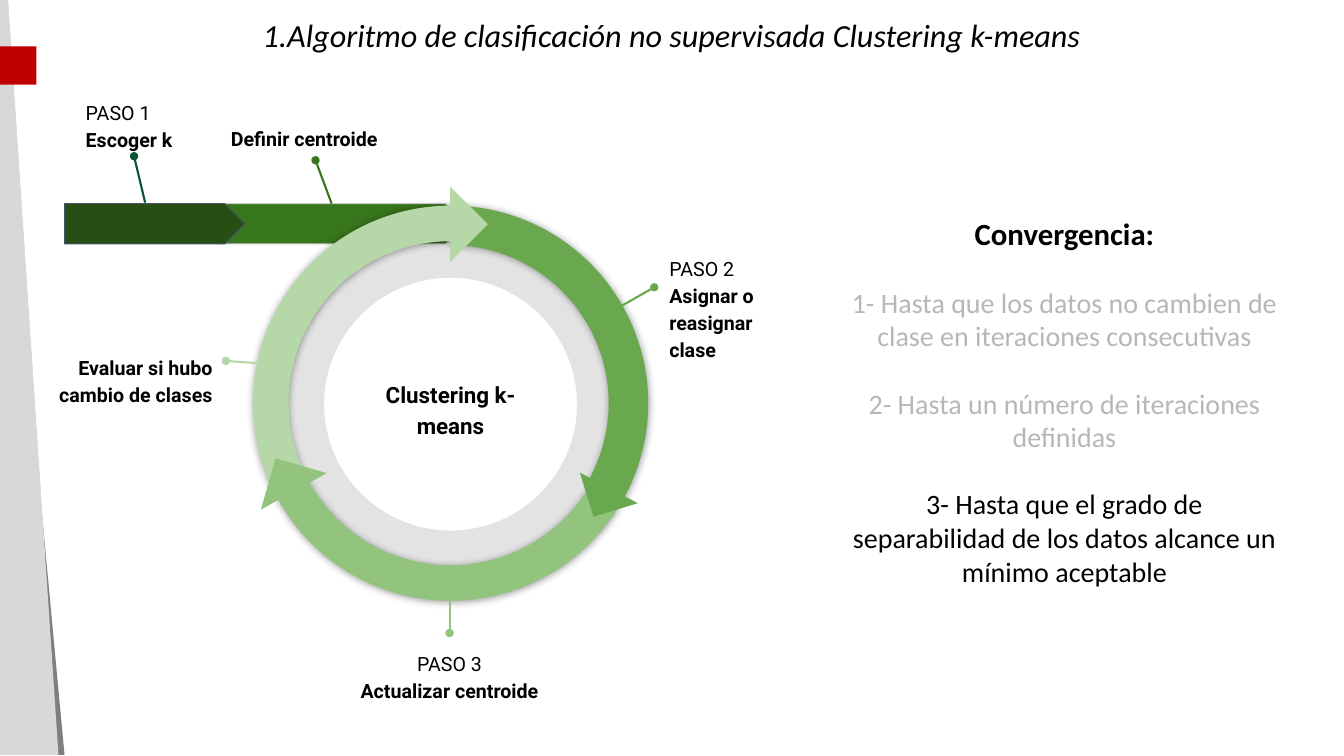
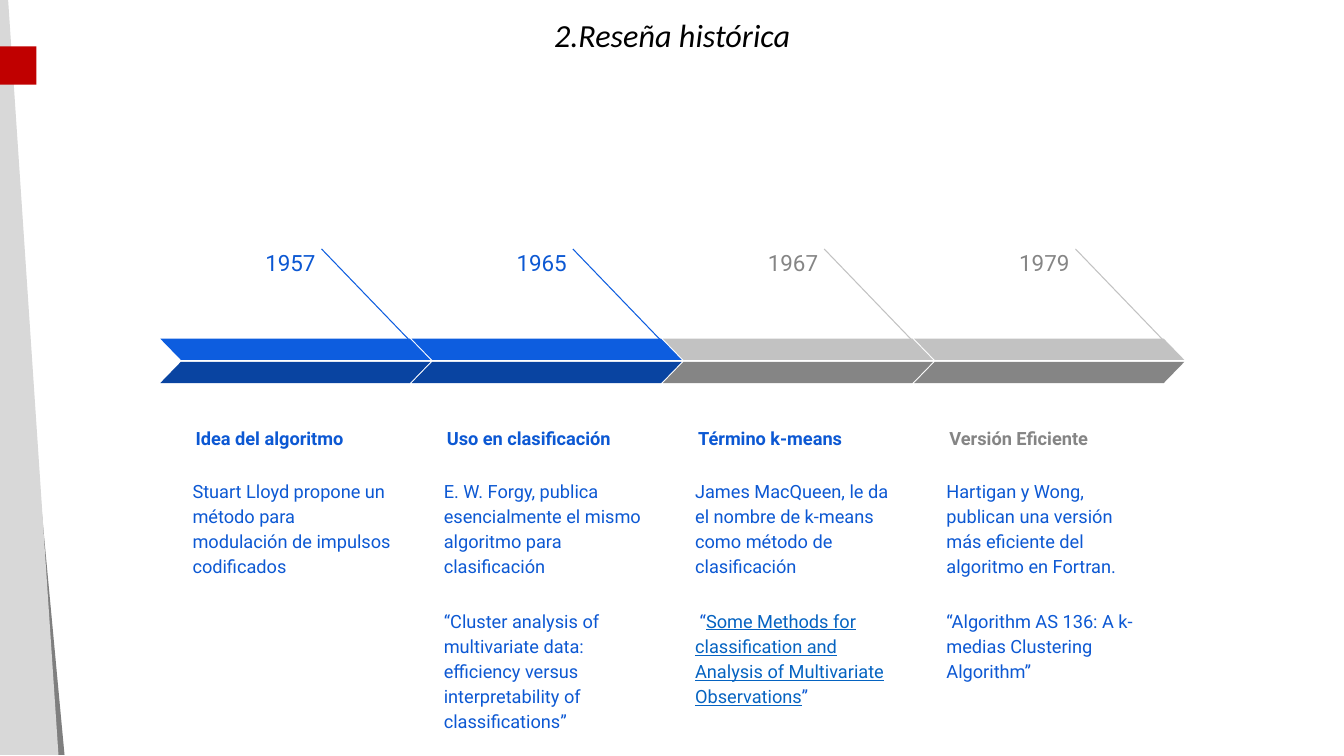
from lxml import etree
from pptx import Presentation
from pptx import util as u
from pptx.dml.color import RGBColor
from pptx.enum import shapes, text
from pptx.oxml.ns import qn

COLS, ROWS = 133.33, 75
BLACK, MUTED, RED = "000000", "B7B7B7", "C00000"
BLUE, NAVY, INK = "0D5DDF", "0944A1", "0C58D3"
SILVER, GREY, LINK = "C2C2C2", "858585", "0563C1"
PINE, FOREST, GREEN, LEAF, MINT = "274E13", "38761D", "6AA84F", "93C47D", "B6D7A8"
LEFT, CENTER, RIGHT = text.PP_ALIGN.LEFT, text.PP_ALIGN.CENTER, text.PP_ALIGN.RIGHT
TOP, MIDDLE, BOTTOM = text.MSO_ANCHOR.TOP, text.MSO_ANCHOR.MIDDLE, text.MSO_ANCHOR.BOTTOM
MS = shapes.MSO_SHAPE
BOLD = {"bold": True}


def g(n):
    """Turn grid cells, ten to the inch, into a length."""
    return u.Inches(n / 10)


def rgb(code):
    """Turn a hex string into a colour."""
    return RGBColor.from_string(code)


def add_xml(parent, tag, **attrs):
    """Append a DrawingML child with the given attributes."""
    return etree.SubElement(parent, qn("a:" + tag), {k: str(v) for k, v in attrs.items()})


def paint(sp, fill, line=None, alpha=None):
    """Give a shape a flat fill and an optional thin outline."""
    sp.fill.solid()
    sp.fill.fore_color.rgb = rgb(fill)
    if alpha:
        add_xml(sp._element.spPr.find(".//" + qn("a:srgbClr")), "alpha", val=alpha * 1000)
    if line:
        sp.line.color.rgb = rgb(line)
        sp.line.width = u.Pt(0.75)
    else:
        sp.line.fill.background()
    sp.shadow.inherit = False


def add_shape(s, kind, box, fill, adj=(), rot=0, flip=False, line=None, alpha=None):
    """Add a preset shape, adjusted, turned and mirrored as asked."""
    sp = s.shapes.add_shape(kind, *map(g, box))
    for i, value in enumerate(adj):
        sp.adjustments[i] = value
    sp.rotation = rot
    if flip:
        sp._element.spPr.get_or_add_xfrm().set("flipH", "1")
    paint(sp, fill, line, alpha)
    return sp


def add_polygon(s, points, fill):
    """Add a closed outline through grid points."""
    pts = [(g(x), g(y)) for x, y in points]
    fb = s.shapes.build_freeform(*pts[0])
    fb.add_line_segments(pts[1:], close=True)
    paint(fb.convert_to_shape(), fill)


def add_line(s, start, end, color, width=0.75, dot=False):
    """Add a straight line, with a dot at its start if asked."""
    c = s.shapes.add_connector(shapes.MSO_CONNECTOR.STRAIGHT, *map(g, start + end))
    c.line.color.rgb = rgb(color)
    c.line.width = u.Pt(width)
    if dot:
        add_xml(c.line._ln, "headEnd", type="oval")
    add_xml(c._element.spPr, "effectLst")


def add_text(s, box, paras, size=14, color=BLACK, font="Roboto", align=LEFT,
             anchor=TOP, inset=1.3, spacing=1.15, gap=0):
    """Add a text box whose paragraphs are lists of (text, font settings) runs."""
    tf = s.shapes.add_textbox(*map(g, box)).text_frame
    tf.word_wrap = True
    tf.vertical_anchor = anchor
    tf.margin_left = tf.margin_right = tf.margin_top = tf.margin_bottom = g(inset)
    for i, runs in enumerate(paras):
        p = tf.paragraphs[0] if i == 0 else tf.add_paragraph()
        p.alignment, p.line_spacing = align, spacing
        if i and gap:
            p.space_before = u.Pt(gap)
        for words, style in runs:
            r = p.add_run()
            r.text = words
            r.font.name = font
            r.font.size = u.Pt(style.get("size", size))
            r.font.color.rgb = rgb(style.get("color", color))
            for name in ("bold", "italic", "underline"):
                if name in style:
                    setattr(r.font, name, style[name])


def add_frame(prs, title):
    """Add a slide with the shared title and side band."""
    s = prs.slides.add_slide(prs.slide_layouts[6])
    add_text(s, (9.2, -0.2, 115, 7.8), [[(title, {"italic": True})]], 23,
             font="Calibri", align=CENTER, anchor=MIDDLE, inset=0.5, spacing=0.9)
    add_polygon(s, [(-1.1, -0.1), (-0.6, 0.1), (6.4, 74.9), (-1.1, 74.9)], "7F7F7F")
    add_polygon(s, [(-1.7, -0.1), (0.8, -0.1), (5.8, 74.9), (-1.7, 74.9)], "D8D8D8")
    add_shape(s, MS.RECTANGLE, (-3.3, 4.6, 6.9, 3.8), RED)
    return s


def add_arc(s, fill, rot, adj, flip=False):
    """Add one shaded third of the cycle ring."""
    sp = add_shape(s, MS.BLOCK_ARC, (25.1, 20.4, 39.2, 39.2), fill, adj, rot, flip)
    shadow = add_xml(sp._element.spPr.find(qn("a:effectLst")), "outerShdw",
                     blurRad=u.Pt(5.6), dist=u.Pt(0.8), dir=90 * 60000, rotWithShape=0)
    add_xml(add_xml(shadow, "srgbClr", val=BLACK), "alpha", val=40000)


def add_tip(s, x, y, side, rot, fill):
    """Add the arrow tip of a ring third."""
    add_shape(s, MS.RIGHT_TRIANGLE, (x, y, side, side), fill, rot=rot)


def add_step(s, start, end, color, box, label, step=None, align=LEFT):
    """Add a dotted leader and the step label it belongs to."""
    add_line(s, start, end, color, 1.5, dot=True)
    paras = [[(step, {})]] if step else []
    add_text(s, box, paras + [[(label, BOLD)]], align=align)


def cycle_slide(prs):
    """Build the clustering cycle and its convergence criteria."""
    s = add_frame(prs, "1.Algoritmo de clasificación no supervisada Clustering k-means")
    add_shape(s, MS.PENTAGON, (21.6, 20.2, 24.6, 4), FOREST, [0.5], line="CCCCCC")
    add_shape(s, MS.DONUT, (26.2, 21.6, 37, 37), BLACK, [0.161], alpha=11)
    add_text(s, (34.2, 34.6, 21, 11.7), [[("Clustering k-means", BOLD)]], 16,
             align=CENTER, anchor=MIDDLE)
    add_arc(s, GREEN, 30, (144.14, 0.01, 0.1))
    add_arc(s, MINT, 330, (143.49, 214.73, 0.09), flip=True)
    add_tip(s, 42, 19.6, 5.3, 225, MINT)
    add_arc(s, LEAF, 210, (143.16, 215.03, 0.09), flip=True)
    add_tip(s, 58.1, 46.1, 4.6, 342.9, GREEN)
    add_tip(s, 26.5, 46.1, 5.3, 106, LEAF)
    add_shape(s, MS.PENTAGON, (6.4, 20.2, 17.9, 4), PINE, [0.5], line="44546A")
    for step in (
        ((13.3, 15.5), (14.4, 20.1), "085631", (7.2, 8.4, 18.6, 4.6), "Escoger k", "PASO 1"),
        ((31.3, 15.9), (32.9, 20.2), FOREST, (21.6, 10.9, 35.6, 4.6), "Definir centroide"),
        ((64.9, 28.5), (58.6, 32.1), GREEN, (65.1, 23.8, 13.1, 9.8),
         "Asignar o reasignar clase", "PASO 2"),
        ((44.6, 62.8), (44.6, 56.1), LEAF, (33.7, 63, 21.8, 9.8),
         "Actualizar centroide", "PASO 3", CENTER),
        ((22.4, 35.8), (29.1, 36.3), MINT, (0.6, 33.7, 21.8, 9.8),
         "Evaluar si hubo cambio de clases", None, RIGHT),
    ):
        add_step(s, *step)
    add_text(s, (83.4, 20.3, 44.4, 43.5), [
        [("Convergencia:", {"bold": True, "size": 22})],
        [("1- Hasta que los datos no cambien de clase en iteraciones consecutivas",
          {"color": MUTED})],
        [("2- Hasta un número de iteraciones definidas", {"color": MUTED})],
        [("3- Hasta que el grado de separabilidad de los datos alcance un mínimo aceptable", {})],
    ], 20, font="Calibri", align=CENTER, inset=1, spacing=1, gap=24)


def add_milestone(s, x, year, heading, body, light, dark, year_ink, head_ink):
    """Add one stretch of the timeline starting at column x."""
    add_text(s, (x + 7.6, 23, 9.1, 3.5), [[(year, {})]], 16, year_ink, align=RIGHT)
    add_text(s, (x + 2.2, 39.3, 21.9, 6.5), [[(heading, BOLD)]], 13, head_ink, anchor=BOTTOM)
    add_text(s, (x + 1.9, 46, 22.5, 27), body, 13, INK, gap=21)
    add_line(s, (x + 16, 24.7), (x + 26.4, 35.5), light)
    add_shape(s, MS.PARALLELOGRAM, (x, 33.6, 26.8, 2.1), light, [0.97], flip=True)
    add_shape(s, MS.PARALLELOGRAM, (x, 35.9, 26.8, 2.1), dark, [0.97])


def history_slide(prs):
    """Build the timeline of the algorithm."""
    s = add_frame(prs, "2.Reseña histórica")
    past, recent = (BLUE, NAVY, INK, INK), (SILVER, GREY, GREY)
    milestones = [
        ("1957", "Idea del algoritmo",
         [[("Stuart Lloyd propone un método para modulación de impulsos codificados", {})]],
         *past),
        ("1965", "Uso en clasificación",
         [[("E. W. Forgy, publica esencialmente el mismo algoritmo para clasificación", {})],
          [("“Cluster analysis of multivariate data: efficiency versus "
            "interpretability of classifications”", {})]],
         *past),
        ("1967", "Término k-means",
         [[("James MacQueen, le da el nombre de k-means como método de clasificación", {})],
          [(" “", {}),
           ("Some Methods for classification and Analysis of Multivariate Observations",
            {"color": LINK, "underline": True}),
           ("”", {})]],
         *recent, INK),
        ("1979", "Versión Eficiente",
         [[("Hartigan y Wong, publican una versión más eficiente del algoritmo en Fortran.", {})],
          [("“Algorithm AS 136: A k-medias Clustering Algorithm”", {})]],
         *recent, GREY),
    ]
    for i, milestone in enumerate(milestones):
        add_milestone(s, 15.9 + 24.93 * i, *milestone)


def main():
    """Build and save the presentation."""
    prs = Presentation()
    prs.slide_width, prs.slide_height = g(COLS), g(ROWS)
    cycle_slide(prs)
    history_slide(prs)
    prs.save("out.pptx")


if __name__ == "__main__":
    main()
